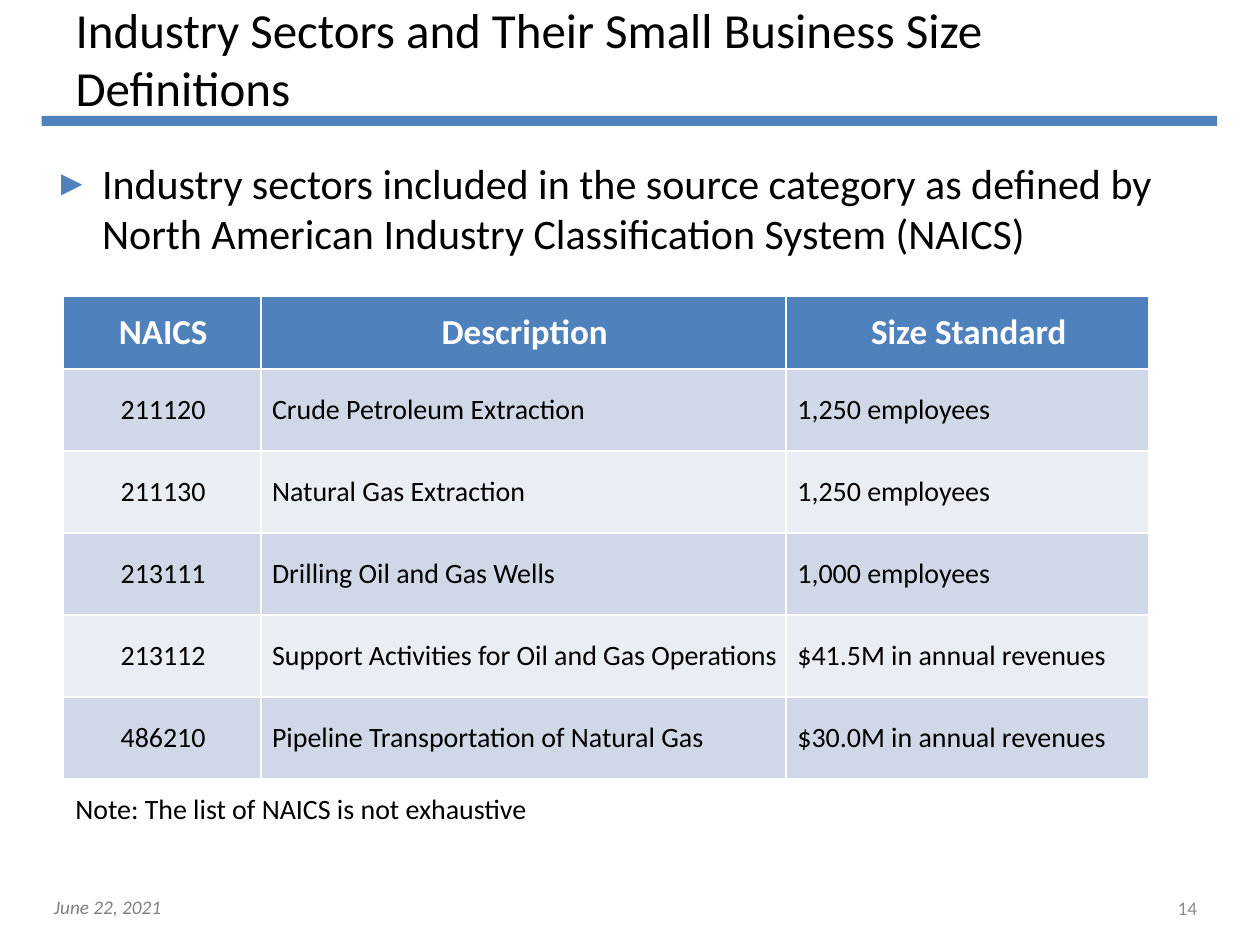
from lxml.etree import SubElement
from pptx import Presentation
from pptx.dml.color import RGBColor
from pptx.enum.shapes import MSO_SHAPE
from pptx.enum.text import MSO_ANCHOR, MSO_AUTO_SIZE, PP_ALIGN
from pptx.oxml.ns import qn
from pptx.util import Inches, Pt

COLORS = {
    "accent": "4F81BD",
    "text": "000000",
    "white": "FFFFFF",
    "date": "808080",
    "number": "8C8C8C",
    "band_dark": "D0D8E8",
    "band_light": "E9EDF4",
}
FONT = "Calibri"


def rgb(name):
    return RGBColor.from_string(COLORS[name])


def write(frame, text, size, color="text", align=PP_ALIGN.LEFT,
          anchor=MSO_ANCHOR.TOP, bold=False, italic=False):
    """Fill a text frame or table cell with one formatted paragraph."""
    frame.word_wrap = True
    frame.vertical_anchor = anchor
    paragraph = frame.paragraphs[0]
    paragraph.alignment = align
    run = paragraph.add_run()
    run.text = text
    run.font.name = FONT
    run.font.size = Pt(size)
    run.font.bold = bold
    run.font.italic = italic
    run.font.color.rgb = rgb(color)
    return paragraph


prs = Presentation()
prs.slide_width = Inches(10)
prs.slide_height = Inches(7.5)
slide = prs.slides.add_slide(prs.slide_layouts[1])
shapes = slide.shapes

# Title and rule below it
title = shapes.title
title.left, title.top = Inches(0.5), Inches(0)
title.width, title.height = Inches(9), Inches(0.92)
title.text_frame.auto_size = MSO_AUTO_SIZE.NONE
write(title.text_frame, "Industry Sectors and Their Small Business Size Definitions",
      28, anchor=MSO_ANCHOR.MIDDLE)

rule = shapes.add_shape(MSO_SHAPE.RECTANGLE, Inches(0.33), Inches(0.92),
                        Inches(9.33), Inches(0.08))
rule.shadow.inherit = False
rule.fill.solid()
rule.fill.fore_color.rgb = rgb("accent")
rule.line.fill.background()

# Bulleted introduction
intro = slide.placeholders[1]
intro.left, intro.top = Inches(0.33), Inches(1.2)
intro.width, intro.height = Inches(9.5), Inches(1.02)
intro.text_frame.auto_size = MSO_AUTO_SIZE.NONE
bullet = write(intro.text_frame,
               "Industry sectors included in the source category as defined by "
               "North American Industry Classification System (NAICS)", 24)
bullet.space_before = Pt(0)
bullet_format = bullet._p.get_or_add_pPr()
bullet_format.set("marL", str(Inches(0.38)))
bullet_format.set("indent", str(-Inches(0.38)))
bullet_color = SubElement(bullet_format, qn("a:buClr"))
SubElement(bullet_color, qn("a:srgbClr"), val=COLORS["accent"])
SubElement(bullet_format, qn("a:buSzPct"), val="85000")
SubElement(bullet_format, qn("a:buFont"), typeface="Arial")
SubElement(bullet_format, qn("a:buChar"), char="►")

# Size standards; the default table style supplies the white borders
sectors = [
    ("NAICS", "Description", "Size Standard"),
    ("211120", "Crude Petroleum Extraction", "1,250 employees"),
    ("211130", "Natural Gas Extraction", "1,250 employees"),
    ("213111", "Drilling Oil and Gas Wells", "1,000 employees"),
    ("213112", "Support Activities for Oil and Gas Operations",
     "$41.5M in annual revenues"),
    ("486210", "Pipeline Transportation of Natural Gas",
     "$30.0M in annual revenues"),
]
table = shapes.add_table(len(sectors), 3, Inches(0.5), Inches(2.35),
                         Inches(8.62), Inches(3.83)).table
for column, width in zip(table.columns, (1.57, 4.17, 2.88)):
    column.width = Inches(width)

for r, sector in enumerate(sectors):
    header = r == 0
    table.rows[r].height = Inches(0.58 if header else 0.65)
    band = "accent" if header else "band_dark" if r % 2 else "band_light"
    for c, value in enumerate(sector):
        cell = table.cell(r, c)
        cell.fill.solid()
        cell.fill.fore_color.rgb = rgb(band)
        cell.margin_left = cell.margin_right = Inches(0.07)
        cell.margin_top = cell.margin_bottom = 0
        cell.vertical_anchor = MSO_ANCHOR.MIDDLE
        entry = write(cell.text_frame, value, 20 if header else 16,
                      "white" if header else "text",
                      PP_ALIGN.CENTER if header or c == 0 else PP_ALIGN.LEFT,
                      MSO_ANCHOR.MIDDLE, bold=header)
        entry._p.get_or_add_pPr().set("marL", str(Inches(0.02)))

# Note, date and slide number
captions = [
    ((0.5, 6.23, 8.81, 0.37), "Note: The list of NAICS is not exhaustive",
     {"size": 16}),
    ((0.33, 7.06, 5.92, 0.29), "June 22, 2021",
     {"size": 11, "color": "date", "italic": True}),
    ((7.27, 7.06, 2.33, 0.29), "14",
     {"size": 11, "color": "number", "align": PP_ALIGN.RIGHT,
      "anchor": MSO_ANCHOR.MIDDLE}),
]
for place, text, style in captions:
    caption = shapes.add_textbox(*map(Inches, place))
    write(caption.text_frame, text, **style)

prs.save("out.pptx")
